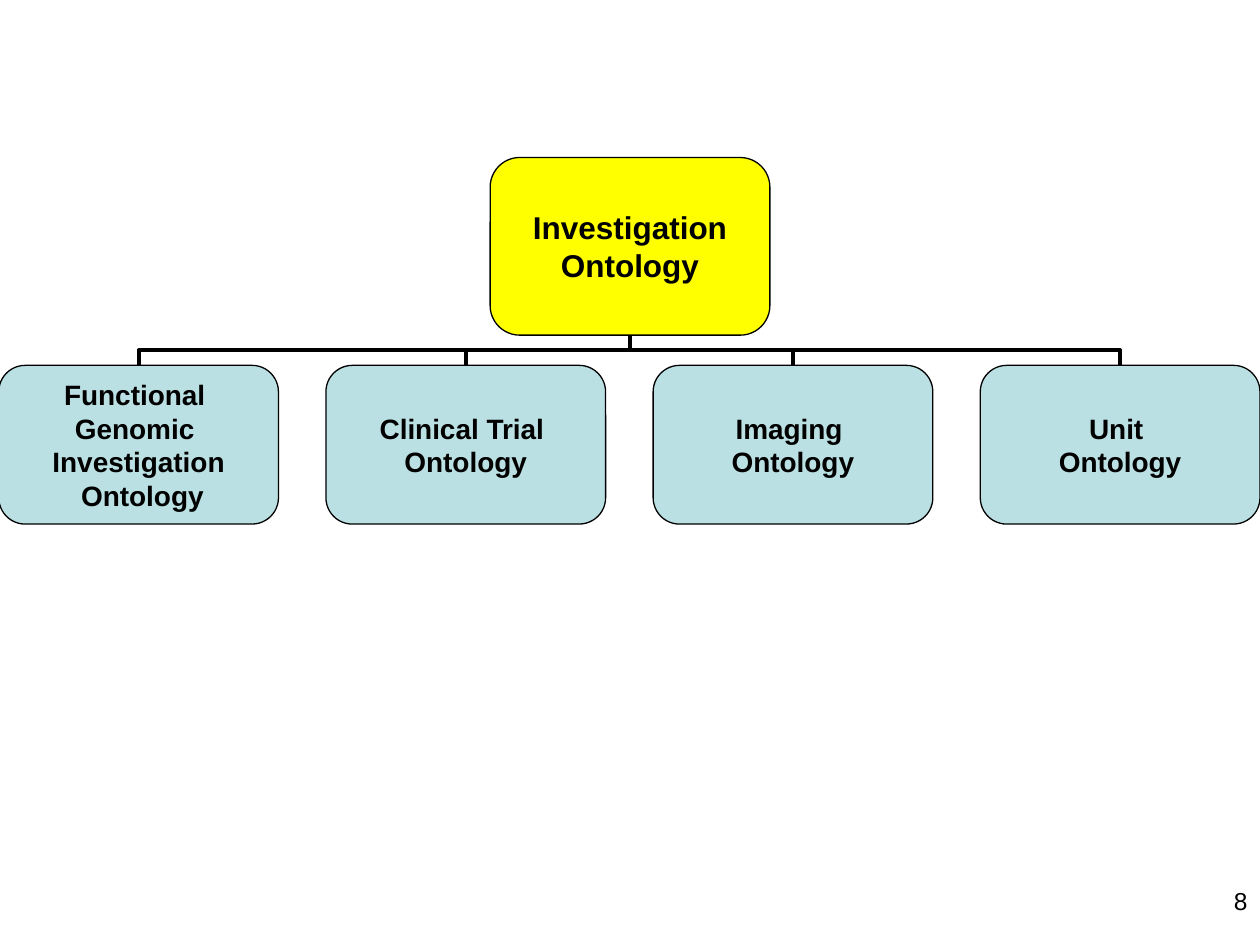
from dataclasses import dataclass

from lxml import etree
from pptx import Presentation
from pptx.dml.color import RGBColor
from pptx.enum.shapes import MSO_CONNECTOR, MSO_SHAPE
from pptx.enum.text import MSO_ANCHOR, PP_ALIGN
from pptx.oxml.ns import qn
from pptx.slide import Slide
from pptx.util import Inches, Pt

ELBOW = MSO_CONNECTOR.ELBOW
ROUNDED = MSO_SHAPE.ROUNDED_RECTANGLE
MIDDLE = MSO_ANCHOR.MIDDLE
CENTER, RIGHT = PP_ALIGN.CENTER, PP_ALIGN.RIGHT


@dataclass(frozen=True)
class Theme:
    font: str = "Arial"
    ink: RGBColor = RGBColor(0x00, 0x00, 0x00)
    root_fill: RGBColor = RGBColor(0xFF, 0xFF, 0x00)
    branch_fill: RGBColor = RGBColor(0xBB, 0xE0, 0xE3)
    root_size: int = 18
    branch_size: int = 16
    number_size: int = 14
    outline: float = 0.75
    connector: float = 2.25


@dataclass(frozen=True)
class Node:
    """An ontology box; lengths are in inches."""
    lines: tuple[str, ...]
    left: float
    top: float
    height: float
    fill: RGBColor
    size: int
    width: float = 2.22

    @property
    def center(self) -> float:
        return self.left + self.width / 2

    @property
    def bottom(self) -> float:
        return self.top + self.height


THEME = Theme()
FIRST_LEFT, LAST_LEFT = -0.01, 7.78
BRANCH_LINES = (
    ("Functional ", "Genomic ", "Investigation", " Ontology"),
    ("Clinical Trial ", "Ontology"),
    ("Imaging ", "Ontology"),
    ("Unit ", "Ontology"),
)
BRANCH_STEP = (LAST_LEFT - FIRST_LEFT) / (len(BRANCH_LINES) - 1)

ROOT = Node(("Investigation", "Ontology"), 3.89, 1.25, 1.41,
            THEME.root_fill, THEME.root_size)
BRANCHES = [
    Node(lines, FIRST_LEFT + index * BRANCH_STEP, 2.9, 1.26,
         THEME.branch_fill, THEME.branch_size)
    for index, lines in enumerate(BRANCH_LINES)
]


def draw_link(slide: Slide, branch: Node, root: Node) -> None:
    """Join branch top to root bottom with an elbow that leaves vertically.

    An elbow leaves horizontally, so it is laid out sideways and then turned.
    """
    side = 1 if branch.center > root.center else -1
    middle_x = (branch.center + root.center) / 2
    middle_y = (branch.top + root.bottom) / 2
    half_gap = side * (branch.top - root.bottom) / 2
    half_span = abs(branch.center - root.center) / 2
    link = slide.shapes.add_connector(
        ELBOW,
        Inches(middle_x - half_gap), Inches(middle_y + half_span),
        Inches(middle_x + half_gap), Inches(middle_y - half_span))
    link.rotation = 270 if side > 0 else 90
    link.line.color.rgb = THEME.ink
    link.line.width = Pt(THEME.connector)
    etree.SubElement(link._element.spPr, qn("a:effectLst"))


def draw_node(slide: Slide, node: Node) -> None:
    box = slide.shapes.add_shape(ROUNDED, Inches(node.left), Inches(node.top),
                                 Inches(node.width), Inches(node.height))
    box.shadow.inherit = False
    box.fill.solid()
    box.fill.fore_color.rgb = node.fill
    box.line.color.rgb = THEME.ink
    box.line.width = Pt(THEME.outline)
    frame = box.text_frame
    frame.word_wrap = False
    frame.vertical_anchor = MIDDLE
    frame.margin_left = frame.margin_right = Inches(0.06)
    frame.margin_top = frame.margin_bottom = Inches(0.03)
    frame.text = "\n".join(node.lines)
    for paragraph in frame.paragraphs:
        paragraph.alignment = CENTER
        style_font(paragraph.font, node.size, bold=True)


def style_font(font, size: int, bold: bool = False) -> None:
    font.name = THEME.font
    font.size = Pt(size)
    font.bold = bold
    font.color.rgb = THEME.ink


def draw_slide_number(slide: Slide, number: str) -> None:
    frame = slide.shapes.add_textbox(Inches(7.67), Inches(6.98),
                                     Inches(2.33), Inches(0.52)).text_frame
    frame.word_wrap = True
    frame.text = number
    paragraph = frame.paragraphs[0]
    paragraph.alignment = RIGHT
    style_font(paragraph.font, THEME.number_size)


def main() -> None:
    presentation = Presentation()
    presentation.slide_width = Inches(10)
    presentation.slide_height = Inches(7.5)
    slide = presentation.slides.add_slide(presentation.slide_layouts[6])
    for branch in reversed(BRANCHES):
        draw_link(slide, branch, ROOT)
    for node in (ROOT, *BRANCHES):
        draw_node(slide, node)
    draw_slide_number(slide, "8")
    presentation.save("out.pptx")


if __name__ == "__main__":
    main()
